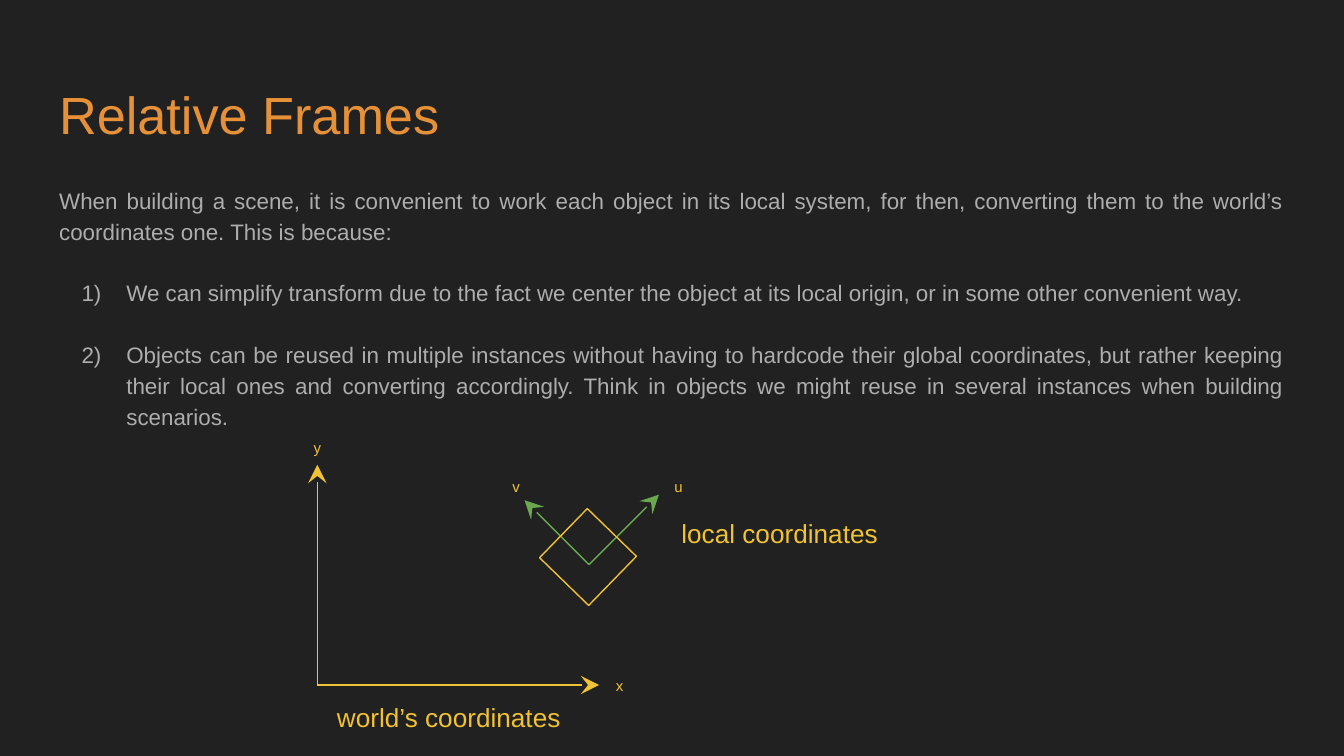
from lxml import etree
from pptx import Presentation
from pptx.dml.color import RGBColor
from pptx.enum import shapes, text
from pptx.oxml import ns
from pptx.util import Pt

BACKGROUND = RGBColor(0x21, 0x21, 0x21)
ORANGE = RGBColor(0xE6, 0x91, 0x38)
GRAY = RGBColor(0xAD, 0xAD, 0xAD)
YELLOW = RGBColor(0xF1, 0xC2, 0x32)
GREEN = RGBColor(0x6A, 0xA8, 0x4F)
FONT = "Arial"
INSET = 7.2

INTRO = ("When building a scene, it is convenient to work each object in its local system, "
         "for then, converting them to the world’s coordinates one. This is because:")
REASONS = [
    "We can simplify transform due to the fact we center the object at its local origin, "
    "or in some other convenient way.",
    "Objects can be reused in multiple instances without having to hardcode their global "
    "coordinates, but rather keeping their local ones and converting accordingly. Think in "
    "objects we might reuse in several instances when building scenarios.",
]


def place(shape, box):
    shape.left, shape.top, shape.width, shape.height = (Pt(length) for length in box)


def prepare_frame(frame, anchor=text.MSO_ANCHOR.TOP):
    frame.word_wrap = True
    frame.auto_size = text.MSO_AUTO_SIZE.NONE
    frame.vertical_anchor = anchor
    frame.margin_left = frame.margin_right = Pt(INSET)
    frame.margin_top = frame.margin_bottom = Pt(INSET)


def style(paragraph, size, color, align):
    paragraph.alignment = align
    for run in paragraph.runs:
        run.font.name = FONT
        run.font.size = Pt(size)
        run.font.color.rgb = color


def set_numbering(paragraph, numbered):
    """Number the paragraph with a hanging indent, or clear the bullet and indent."""
    properties = paragraph._p.get_or_add_pPr()
    properties.set("marL", str(Pt(36 if numbered else 0)))
    properties.set("indent", str(Pt(-24 if numbered else 0)))
    if not numbered:
        etree.SubElement(properties, ns.qn("a:buNone"))
        return
    color = etree.SubElement(properties, ns.qn("a:buClr"))
    etree.SubElement(color, ns.qn("a:srgbClr"), val=str(GRAY))
    etree.SubElement(properties, ns.qn("a:buFont"), typeface=FONT)
    etree.SubElement(properties, ns.qn("a:buAutoNum"), type="arabicParenR")


def fill_title(title, box):
    place(title, box)
    prepare_frame(title.text_frame)
    title.text_frame.margin_top = Pt(9)
    title.text_frame.text = "Relative Frames"
    style(title.text_frame.paragraphs[0], 28, ORANGE, text.PP_ALIGN.LEFT)


def fill_body(body, box):
    place(body, box)
    frame = body.text_frame
    prepare_frame(frame)
    for index, wording in enumerate([INTRO, *REASONS]):
        paragraph = frame.add_paragraph() if index else frame.paragraphs[0]
        paragraph.text = wording
        set_numbering(paragraph, numbered=index > 0)
        paragraph.line_spacing = 1.15
        paragraph.space_before = Pt(16.5 if index else 0)
        paragraph.space_after = Pt(0)
        style(paragraph, 12, GRAY, text.PP_ALIGN.JUSTIFY)


def add_label(slide, wording, box, size, anchor=text.MSO_ANCHOR.TOP):
    label = slide.shapes.add_textbox(*(Pt(length) for length in box))
    prepare_frame(label.text_frame, anchor)
    label.text_frame.text = wording
    style(label.text_frame.paragraphs[0], size, YELLOW, text.PP_ALIGN.CENTER)


def add_axis(slide, origin, tip, color):
    axis = slide.shapes.add_connector(
        shapes.MSO_CONNECTOR.STRAIGHT, *(Pt(length) for length in (*tip, *origin)))
    axis.line.color.rgb = color
    axis.line.width = Pt(0.75)
    etree.SubElement(axis.line._get_or_add_ln(), ns.qn("a:headEnd"),
                     type="stealth", w="lg", len="lg")
    etree.SubElement(axis._element.spPr, ns.qn("a:effectLst"))


def add_object(slide, center, side):
    x, y = center
    box = (x - side / 2, y - side / 2, side, side)
    square = slide.shapes.add_shape(
        shapes.MSO_SHAPE.RECTANGLE, *(Pt(length) for length in box))
    square.rotation = 314.2
    square.shadow.inherit = False
    square.fill.background()
    square.line.color.rgb = YELLOW
    square.line.width = Pt(0.75)


def draw_frames(slide, left, top):
    """Draw the world axes, and the object with its local axes."""
    def at(x, y):
        return left + x, top + y

    world, local = at(18, 137), at(163.5, 72.5)
    add_axis(slide, world, at(18, 19), YELLOW)
    add_axis(slide, world, at(169, 137), YELLOW)
    add_axis(slide, local, at(129, 38), GREEN)
    add_axis(slide, local, at(201, 35), GREEN)
    add_object(slide, at(163, 68.4), 36.7)

    add_label(slide, "world’s coordinates", (*at(0, 138.6), 177, 30), 14)
    add_label(slide, "local coordinates", (*at(198, 40), 135.4, 30), 14)
    width, height = 21.6, 18.8
    centers = {"u": (211.6, 30.6), "v": (124.5, 30.6), "x": (180, 137.2), "y": (18, 9.8)}
    for name, (x, y) in centers.items():
        corner = at(x - width / 2, y - height / 2)
        add_label(slide, name, (*corner, width, height), 8, text.MSO_ANCHOR.MIDDLE)


def main():
    deck = Presentation()
    deck.slide_width, deck.slide_height = Pt(720), Pt(405)
    slide = deck.slides.add_slide(deck.slide_layouts[1])
    slide.background.fill.solid()
    slide.background.fill.fore_color.rgb = BACKGROUND
    fill_title(slide.shapes.title, (24.5, 35, 671, 45))
    fill_body(slide.placeholders[1], (24.5, 90.75, 671, 269.25))
    draw_frames(slide, 152, 230)
    deck.save("out.pptx")


if __name__ == "__main__":
    main()
